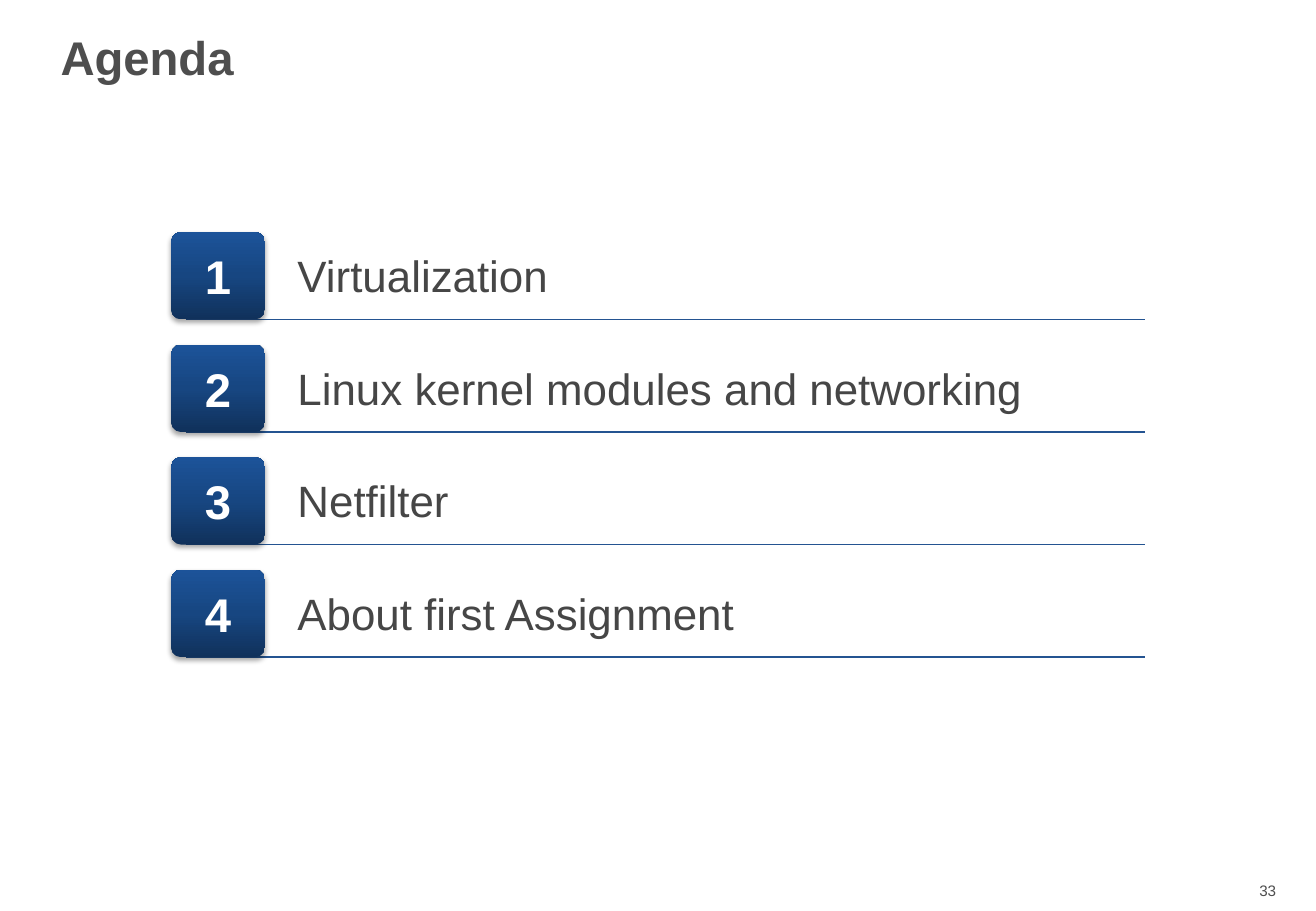
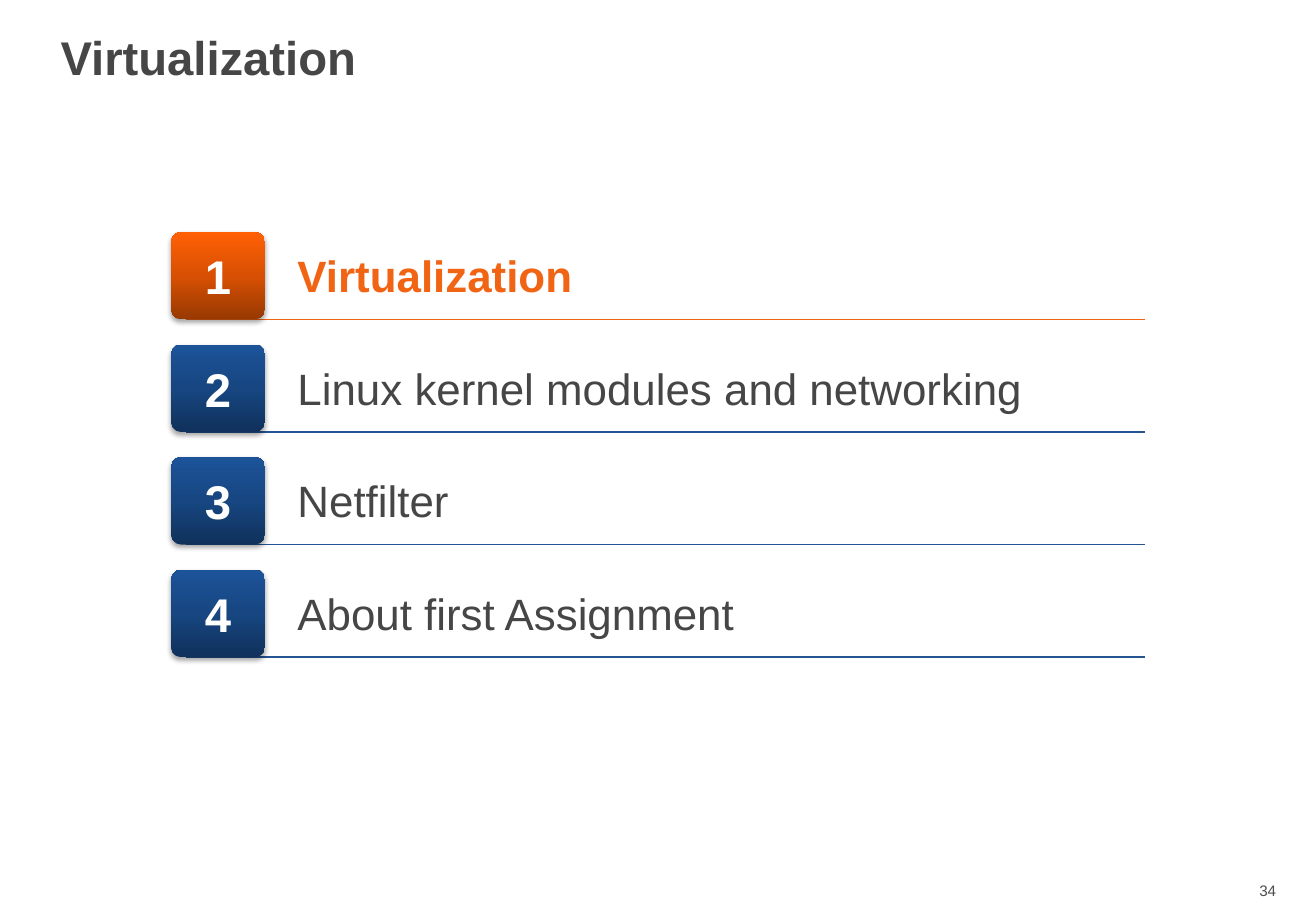
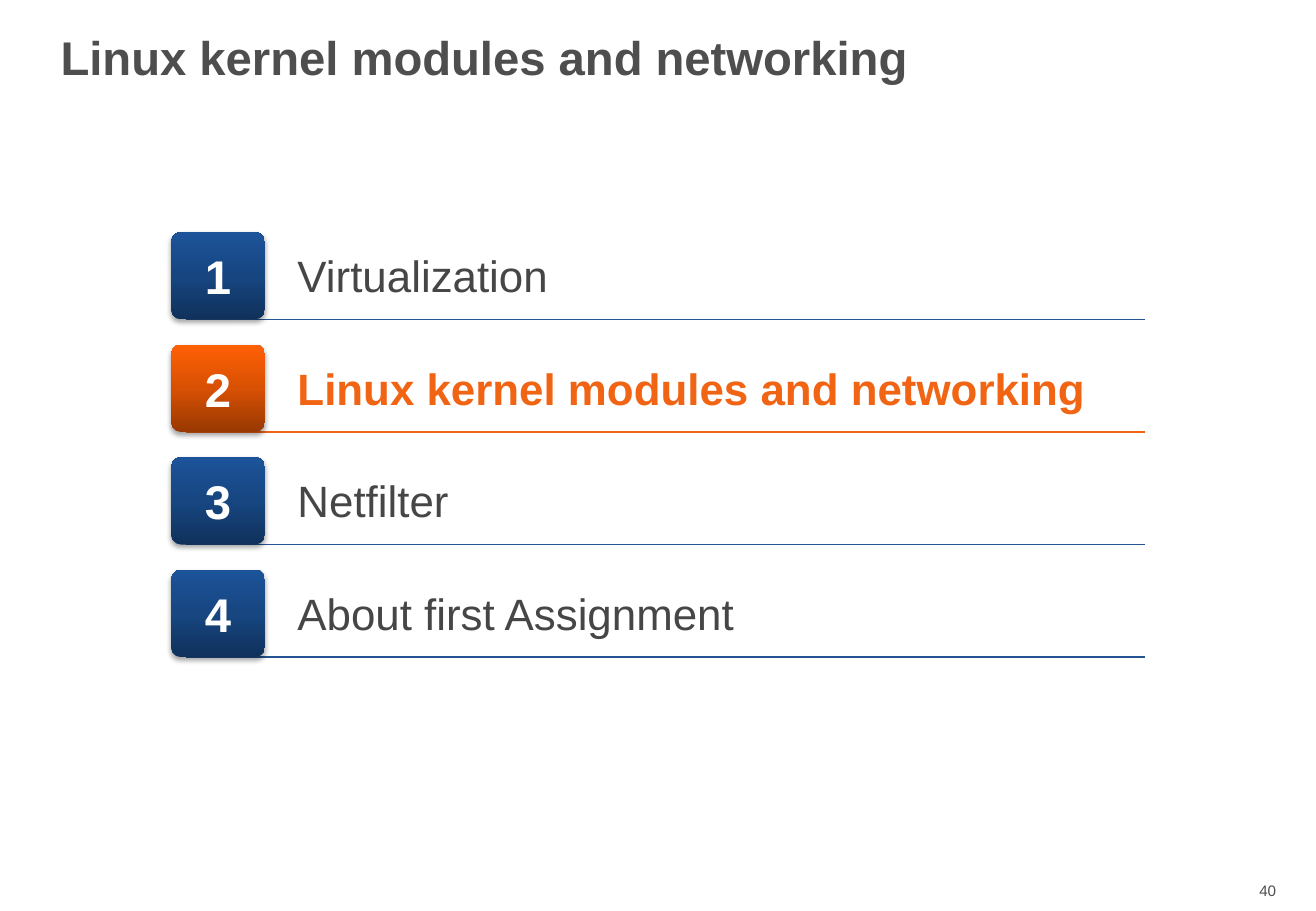
from copy import deepcopy

from lxml.etree import SubElement
from pptx import Presentation
from pptx.dml.color import RGBColor
from pptx.enum.shapes import MSO_CONNECTOR, MSO_SHAPE
from pptx.enum.text import MSO_ANCHOR, PP_ALIGN
from pptx.oxml.ns import qn
from pptx.util import Pt

PX = 9144  # EMU per px, 100 px to the inch
WIDTH, HEIGHT = 1083, 750
FONT = "Arial"

GREY = RGBColor(0x4E, 0x4E, 0x4E)
DARK = RGBColor(0x46, 0x46, 0x46)
WHITE = RGBColor(0xFF, 0xFF, 0xFF)
BLUE = RGBColor(0x24, 0x54, 0x91)
ORANGE = RGBColor(0xF0, 0x64, 0x14)
BLUES = (RGBColor(0x10, 0x31, 0x5B), RGBColor(0x17, 0x46, 0x81),
         RGBColor(0x1C, 0x53, 0x99))
ORANGES = (RGBColor(0x98, 0x39, 0x02), RGBColor(0xD8, 0x50, 0x03),
           RGBColor(0xFF, 0x60, 0x05))

TOPICS = ["Virtualization", "Linux kernel modules and networking",
          "Netfilter", "About first Assignment"]
# title, title colour, page number, active topic (0 for none)
SLIDES = [
    ("Agenda", GREY, 33, 0),
    (TOPICS[0], DARK, 34, 1),
    (TOPICS[1], GREY, 40, 2),
]

FIRST, LAST = 191, 469  # tops of the first and last badge
STEP = (LAST - FIRST) / (len(TOPICS) - 1)
BADGE_X, BADGE_W, BADGE_H = 141, 77, 72
RULE_X, RULE_END = 153, 942
TOPIC_X, TOPIC_W, TOPIC_H, TOPIC_DROP = 235, 714, 54, 9


def emu(*sizes):
    return [round(size * PX) for size in sizes]


def write(shape, text, size, color, bold=False, align=PP_ALIGN.LEFT,
          anchor=MSO_ANCHOR.TOP, leading=None, before=None):
    """Fill a shape with one paragraph; before is in percent of a line."""
    frame = shape.text_frame
    frame.word_wrap = True
    frame.vertical_anchor = anchor
    para = frame.paragraphs[0]
    para.alignment = align
    if leading:
        para.line_spacing = leading
    if before:
        space = SubElement(para._p.get_or_add_pPr(), qn("a:spcBef"))
        SubElement(space, qn("a:spcPct"), val=str(before * 1000))
    run = para.add_run()
    run.text = text
    font = run.font
    font.name, font.size, font.bold = FONT, Pt(size), bold
    font.color.rgb = color


def label(slide, box, text, size, color, **style):
    write(slide.shapes.add_textbox(*emu(*box)), text, size, color, **style)


def rule(slide, y, color):
    line = slide.shapes.add_connector(
        MSO_CONNECTOR.STRAIGHT, *emu(RULE_X, y, RULE_END, y))
    line.line.color.rgb = color
    line.line.width = Pt(1)
    SubElement(line._element.spPr, qn("a:effectLst"))


def shade(shape, colors):
    """Blend three colours from the bottom to the top."""
    fill = shape.fill
    fill.gradient()
    fill.gradient_angle = 90
    stop = shape._element.spPr.find(".//" + qn("a:gs"))
    stop.addnext(deepcopy(stop))
    for i, (stop, color) in enumerate(zip(fill.gradient_stops, colors)):
        stop.position = i / 2
        stop.color.rgb = color


def lift(shape):
    """Give a shape a soft shadow below it."""
    shape.shadow.inherit = False
    effects = shape._element.spPr.find(qn("a:effectLst"))
    shadow = SubElement(effects, qn("a:outerShdw"), blurRad="40000",
                        dist="23000", dir="5400000", rotWithShape="0")
    black = SubElement(shadow, qn("a:srgbClr"), val="000000")
    SubElement(black, qn("a:alpha"), val="35000")


def badge(slide, y, number, colors):
    shape = slide.shapes.add_shape(
        MSO_SHAPE.ROUNDED_RECTANGLE, *emu(BADGE_X, y, BADGE_W, BADGE_H))
    shape.adjustments[0] = 0.11
    shape.line.fill.background()
    shade(shape, colors)
    lift(shape)
    frame = shape.text_frame
    frame.margin_left, frame.margin_right = emu(20, 20)
    frame.margin_top, frame.margin_bottom = emu(10, 10)
    write(shape, str(number), 28, WHITE, bold=True,
          align=PP_ALIGN.CENTER, anchor=MSO_ANCHOR.MIDDLE)


def agenda(slide, active):
    for i, topic in enumerate(TOPICS):
        y = FIRST + i * STEP
        on = i + 1 == active
        rule(slide, y + BADGE_H, ORANGE if on else BLUE)
        badge(slide, y, i + 1, ORANGES if on else BLUES)
        label(slide, (TOPIC_X, y + TOPIC_DROP, TOPIC_W, TOPIC_H), topic, 26,
              ORANGE if on else DARK, bold=on, before=20)


def main():
    deck = Presentation()
    deck.slide_width, deck.slide_height = emu(WIDTH, HEIGHT)
    for title, color, page, active in SLIDES:
        slide = deck.slides.add_slide(deck.slide_layouts[6])
        label(slide, (988, 721, 72, 25), str(page), 9, GREY,
              align=PP_ALIGN.RIGHT)
        label(slide, (40, 0, 812, 100), title, 28, color, bold=True,
              anchor=MSO_ANCHOR.MIDDLE, leading=0.85)
        agenda(slide, active)
    deck.save("out.pptx")


if __name__ == "__main__":
    main()
